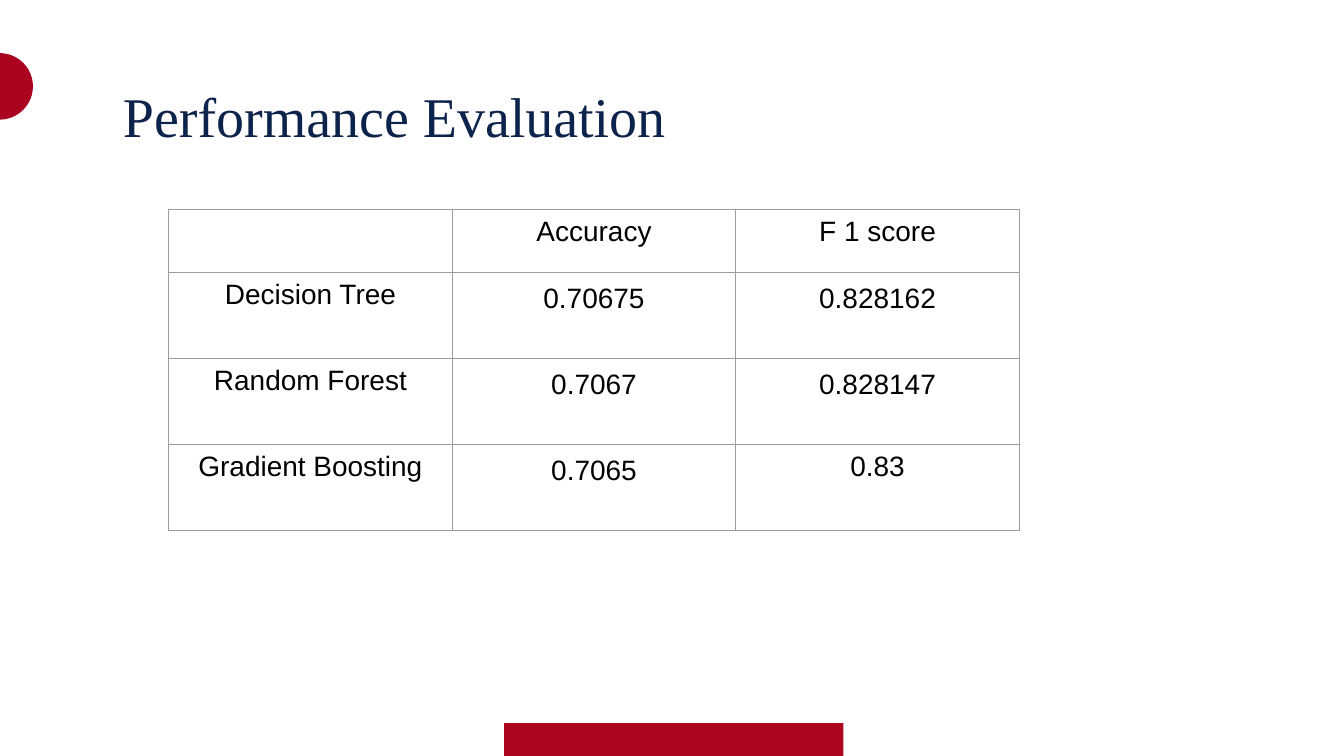
"""Build the performance evaluation slide with its table of model scores."""
import dataclasses
import typing

import lxml.etree
import pptx
import pptx.dml.color
import pptx.enum.shapes
import pptx.enum.text
import pptx.oxml.ns
import pptx.util

EMU_PER_PX = 9144
NAVY = pptx.dml.color.RGBColor(0x0C, 0x23, 0x4B)
RED = pptx.dml.color.RGBColor(0xAB, 0x05, 0x20)
CIRCLE_RED = pptx.dml.color.RGBColor(0xAB, 0x04, 0x20)
BLACK = pptx.dml.color.RGBColor(0, 0, 0)
GRAY = pptx.dml.color.RGBColor(0x9E, 0x9E, 0x9E)
BORDER_WIDTH = pptx.util.Pt(0.75)
PADDING = 10
COLUMN_WIDTH = 422
ROW_HEIGHTS = (94, 128, 128, 128)
LOOSE = 1.15


@dataclasses.dataclass(frozen=True)
class Box:
    left: int
    top: int
    width: int
    height: int

    def emu(self) -> tuple[int, ...]:
        return tuple(px(length) for length in dataclasses.astuple(self))


@dataclasses.dataclass(frozen=True)
class Decoration:
    kind: pptx.enum.shapes.MSO_SHAPE
    box: Box
    color: pptx.dml.color.RGBColor


@dataclasses.dataclass(frozen=True)
class Entry:
    text: str
    spacing: float = 1.0


DECORATIONS = (
    Decoration(pptx.enum.shapes.MSO_SHAPE.RECTANGLE, Box(750, 1076, 505, 54), RED),
    Decoration(pptx.enum.shapes.MSO_SHAPE.OVAL, Box(-50, 79, 99, 99), CIRCLE_RED),
)
TITLE_BOX = Box(173, 111, 1084, 323)
SCORES = (
    (Entry(""), Entry("Accuracy"), Entry("F 1 score")),
    (Entry("Decision Tree"), Entry("0.70675", LOOSE), Entry("0.828162", LOOSE)),
    (Entry("Random Forest"), Entry("0.7067", LOOSE), Entry("0.828147", LOOSE)),
    (Entry("Gradient Boosting"), Entry("0.7065", LOOSE), Entry("0.83")),
)
TABLE_BOX = Box(251, 311, COLUMN_WIDTH * len(SCORES[0]), sum(ROW_HEIGHTS))


def px(length: int) -> int:
    return length * EMU_PER_PX


def write(frame: typing.Any, text: str, *, font: str, size: int,
          color: pptx.dml.color.RGBColor, align: pptx.enum.text.PP_ALIGN,
          spacing: float = 1.0) -> None:
    para = frame.paragraphs[0]
    para.alignment = align
    para.line_spacing = spacing
    span = para.add_run()
    span.text = text
    span.font.name = font
    span.font.size = pptx.util.Pt(size)
    span.font.color.rgb = color


def set_padding(holder: typing.Any) -> None:
    holder.margin_left = holder.margin_right = px(PADDING)
    holder.margin_top = holder.margin_bottom = px(PADDING)


def draw_decoration(page: typing.Any, decoration: Decoration) -> None:
    shape = page.shapes.add_shape(decoration.kind, *decoration.box.emu())
    shape.shadow.inherit = False
    shape.fill.solid()
    shape.fill.fore_color.rgb = decoration.color
    shape.line.fill.background()


def draw_title(page: typing.Any) -> None:
    title = page.shapes.title
    title.left, title.top, title.width, title.height = TITLE_BOX.emu()
    frame = title.text_frame
    frame.word_wrap = True
    frame.auto_size = pptx.enum.text.MSO_AUTO_SIZE.NONE
    frame.vertical_anchor = pptx.enum.text.MSO_ANCHOR.TOP
    set_padding(frame)
    write(frame, "Performance Evaluation", font="Times New Roman", size=60,
          color=NAVY, align=pptx.enum.text.PP_ALIGN.LEFT)


def outline_cell(cell: typing.Any) -> None:
    qn = pptx.oxml.ns.qn
    properties = cell._tc.get_or_add_tcPr()
    for index, side in enumerate(("a:lnL", "a:lnR", "a:lnT", "a:lnB")):
        line = lxml.etree.Element(qn(side), w=str(BORDER_WIDTH))
        fill = lxml.etree.SubElement(line, qn("a:solidFill"))
        lxml.etree.SubElement(fill, qn("a:srgbClr"), val=str(GRAY))
        properties.insert(index, line)


def draw_table(page: typing.Any) -> None:
    table = page.shapes.add_table(len(SCORES), len(SCORES[0]), *TABLE_BOX.emu()).table
    table.first_row = table.horz_banding = False
    for column in table.columns:
        column.width = px(COLUMN_WIDTH)
    for row, height, entries in zip(table.rows, ROW_HEIGHTS, SCORES):
        row.height = px(height)
        for cell, entry in zip(row.cells, entries):
            cell.fill.background()
            set_padding(cell)
            outline_cell(cell)
            if entry.text:
                write(cell.text_frame, entry.text, font="Arial", size=30, color=BLACK,
                      align=pptx.enum.text.PP_ALIGN.CENTER, spacing=entry.spacing)


def main() -> None:
    deck = pptx.Presentation()
    deck.slide_width, deck.slide_height = px(2000), px(1125)
    page = deck.slides.add_slide(deck.slide_layouts.get_by_name("Title Only"))
    for decoration in DECORATIONS:
        draw_decoration(page, decoration)
    draw_title(page)
    draw_table(page)
    deck.save("out.pptx")


if __name__ == "__main__":
    main()
